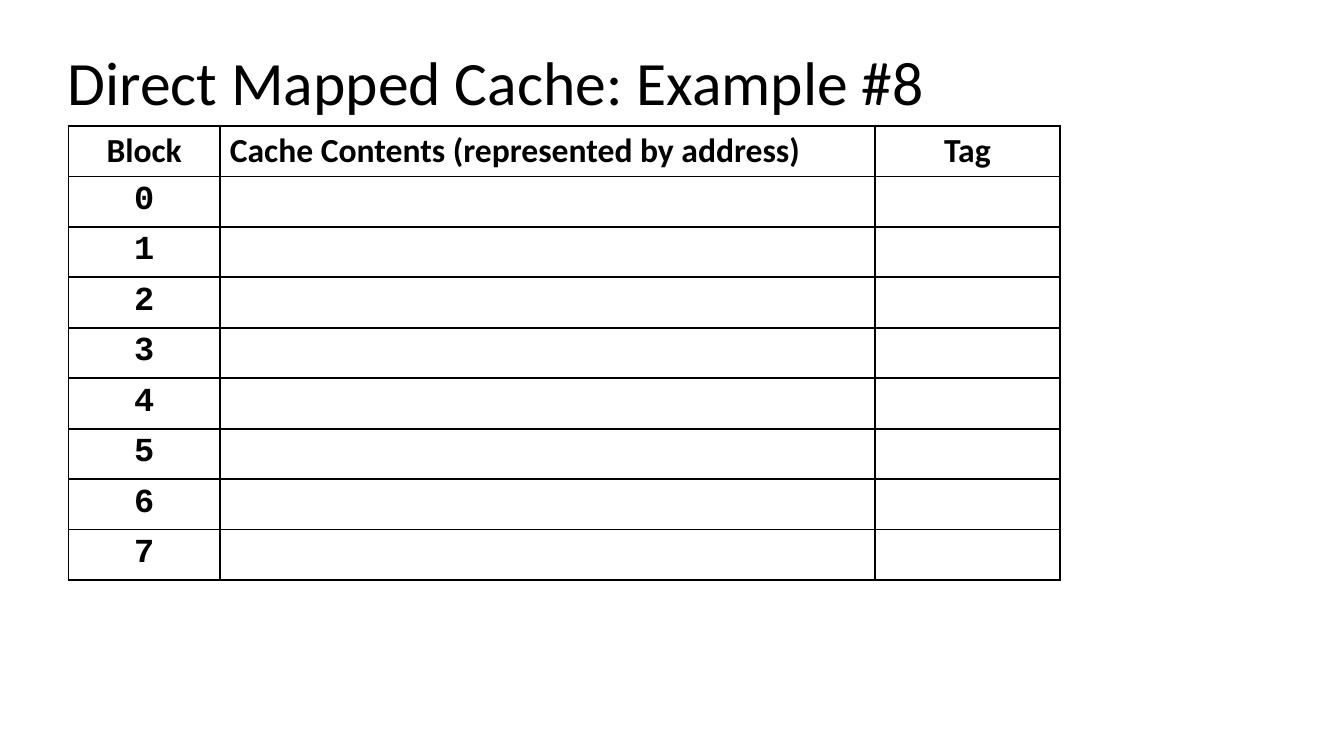
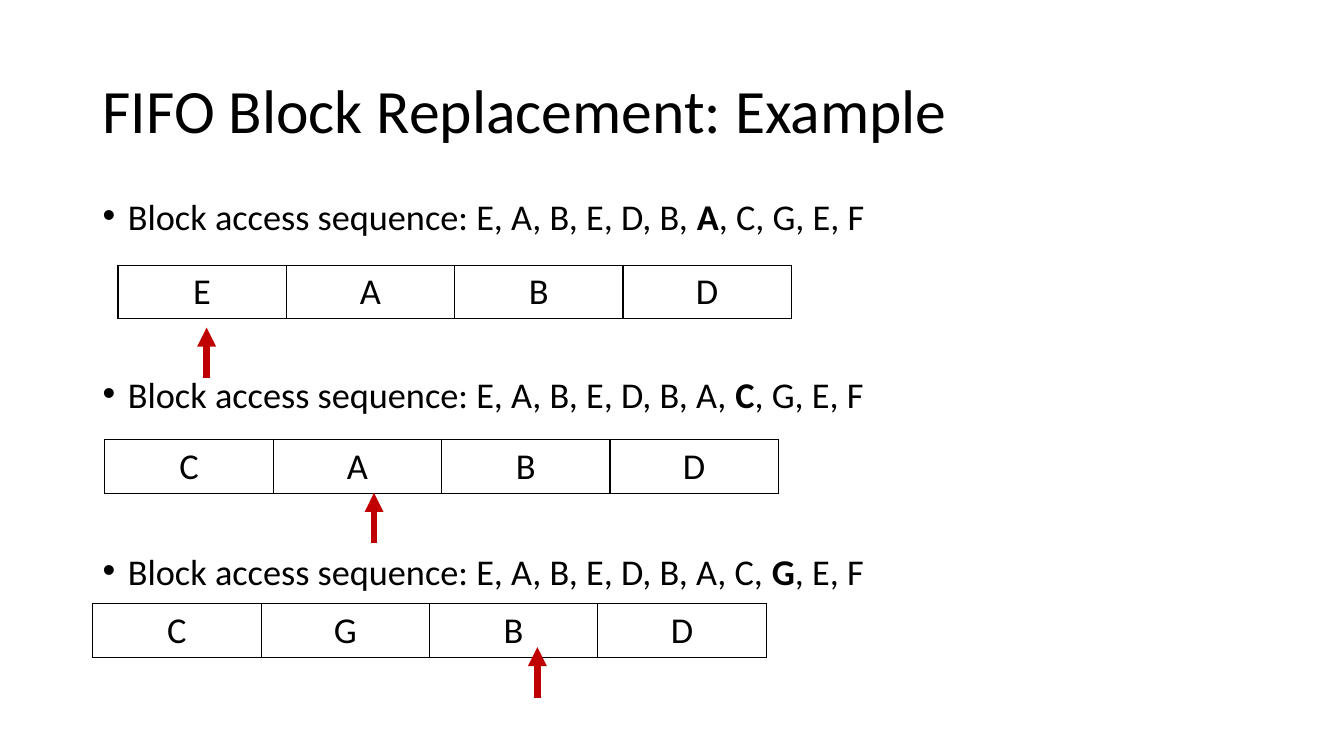
"""Build two slides on cache mapping and block replacement."""
from typing import Any, NamedTuple

from lxml.etree import SubElement
from pptx import Presentation
from pptx.dml.color import RGBColor
from pptx.enum.shapes import MSO_CONNECTOR
from pptx.enum.text import MSO_ANCHOR, PP_ALIGN
from pptx.oxml import parse_xml
from pptx.oxml.ns import nsdecls, qn
from pptx.util import Inches, Pt

BLACK, RED = "000000", "C00000"
SANS, MONO = "Calibri", "Courier New"
TITLE = {"name": SANS, "size": Pt(44)}
BODY = {"name": SANS, "size": Pt(25.9)}
CELL = {"name": SANS, "size": Pt(26)}
HEAD = {"name": SANS, "size": Pt(24), "bold": True}
INDEX = {**HEAD, "name": MONO}
TIGHT = {"line_spacing": 0.7}
APART = {**TIGHT, "space_before": Pt(105)}
ACCESS = "EABEDBACGEF"


class Step(NamedTuple):
    mark: int
    blocks: str
    left: float
    top: float
    tip_x: float
    tip_y: float


STEPS = [
    Step(6, "EABD", 1.17, 2.63, 2.05, 3.25),
    Step(7, "CABD", 1.04, 4.36, 3.71, 4.89),
    Step(8, "CGBD", 0.92, 5.99, 5.33, 6.42),
]


def color(code: str) -> RGBColor:
    return RGBColor.from_string(code)


def apply(target: Any, values: dict[str, Any]) -> None:
    for name, value in values.items():
        setattr(target, name, value)


def write(para: Any, text: str, style: dict[str, Any]) -> None:
    run = para.add_run()
    run.text = text
    apply(run.font, style)
    run.font.color.rgb = color(BLACK)


def add_box(slide: Any, left: float, top: float, width: float, height: float) -> Any:
    box = slide.shapes.add_textbox(*map(Inches, (left, top, width, height)))
    box.text_frame.word_wrap = True
    return box.text_frame


def add_title(slide: Any, text: str, left: float, top: float) -> None:
    frame = add_box(slide, left, top, 11.5, 1.45)
    frame.vertical_anchor = MSO_ANCHOR.MIDDLE
    para = frame.paragraphs[0]
    para.line_spacing = 0.9
    write(para, text, TITLE)


def edge(cell: Any, width: float) -> None:
    props = cell._tc.get_or_add_tcPr()
    for spot, side in enumerate("LRTB"):
        props.insert(spot, parse_xml(
            f'<a:ln{side} {nsdecls("a")} w="{Pt(width)}"><a:solidFill>'
            f'<a:srgbClr val="{BLACK}"/></a:solidFill></a:ln{side}>'))


def add_grid(slide: Any, left: float, top: float, cols: list[float],
             rows: list[float], line: float) -> Any:
    size = map(Inches, (left, top, sum(cols), sum(rows)))
    table = slide.shapes.add_table(len(rows), len(cols), *size).table
    apply(table, {"first_row": False, "horz_banding": False})
    for col, width in zip(table.columns, cols):
        col.width = Inches(width)
    for row, height in zip(table.rows, rows):
        row.height = Inches(height)
    for cell in table.iter_cells():
        cell.fill.background()
        edge(cell, line)
    return table


def fill(cell: Any, text: str, style: dict[str, Any],
         align: PP_ALIGN = PP_ALIGN.CENTER) -> None:
    para = cell.text_frame.paragraphs[0]
    para.alignment = align
    write(para, text, style)


def add_arrow(slide: Any, left: float, top: float) -> None:
    ends = map(Inches, (left, top + 0.5, left, top))
    arrow = slide.shapes.add_connector(MSO_CONNECTOR.STRAIGHT, *ends)
    arrow.line.color.rgb = color(RED)
    arrow.line.width = Pt(4.5)
    SubElement(arrow.line._get_or_add_ln(), qn("a:tailEnd"), type="triangle")
    SubElement(arrow._element.spPr, qn("a:effectLst"))


def add_bullet(para: Any, mark: int, layout: dict[str, Any]) -> None:
    apply(para, layout)
    props = para._p.get_or_add_pPr()
    apply_indent = {"marL": Inches(0.25), "indent": Inches(-0.25)}
    for name, value in apply_indent.items():
        props.set(name, str(value))
    SubElement(props, qn("a:buFont"), typeface="Arial")
    SubElement(props, qn("a:buChar"), char="•")
    before = "".join(f"{name}, " for name in ACCESS[:mark])
    after = "".join(f", {name}" for name in ACCESS[mark + 1:])
    write(para, f"Block access sequence: {before}", BODY)
    write(para, ACCESS[mark], {**BODY, "bold": True})
    write(para, after, BODY)


def draw_cache(slide: Any) -> None:
    add_title(slide, "Direct Mapped Cache: Example #8", 0.57, 0.12)
    table = add_grid(slide, 0.68, 1.25, [1.5, 6.5, 1.83], [0.5] + [0.47] * 8, 1.5)
    heads = [("Block", PP_ALIGN.CENTER),
             ("Cache Contents (represented by address)", PP_ALIGN.LEFT),
             ("Tag", PP_ALIGN.CENTER)]
    for col, (text, align) in enumerate(heads):
        cell = table.cell(0, col)
        cell.vertical_anchor = MSO_ANCHOR.MIDDLE
        fill(cell, text, HEAD, align)
    for block in range(8):
        fill(table.cell(block + 1, 0), str(block), INDEX)


def draw_fifo(slide: Any) -> None:
    add_title(slide, "FIFO Block Replacement: Example", 0.92, 0.4)
    frame = add_box(slide, 0.92, 2, 11.5, 4.09)
    for order, step in enumerate(STEPS):
        para = frame.add_paragraph() if order else frame.paragraphs[0]
        add_bullet(para, step.mark, APART if order else TIGHT)
        table = add_grid(slide, step.left, step.top, [1.67] * 4, [0.53], 1)
        for cell, name in zip(table.iter_cells(), step.blocks):
            fill(cell, name, CELL)
    for step in STEPS:
        add_arrow(slide, step.tip_x, step.tip_y)


def main() -> None:
    deck = Presentation()
    apply(deck, {"slide_width": Inches(13.33), "slide_height": Inches(7.5)})
    for draw in (draw_cache, draw_fifo):
        draw(deck.slides.add_slide(deck.slide_layouts[6]))
    deck.save("out.pptx")


if __name__ == "__main__":
    main()
